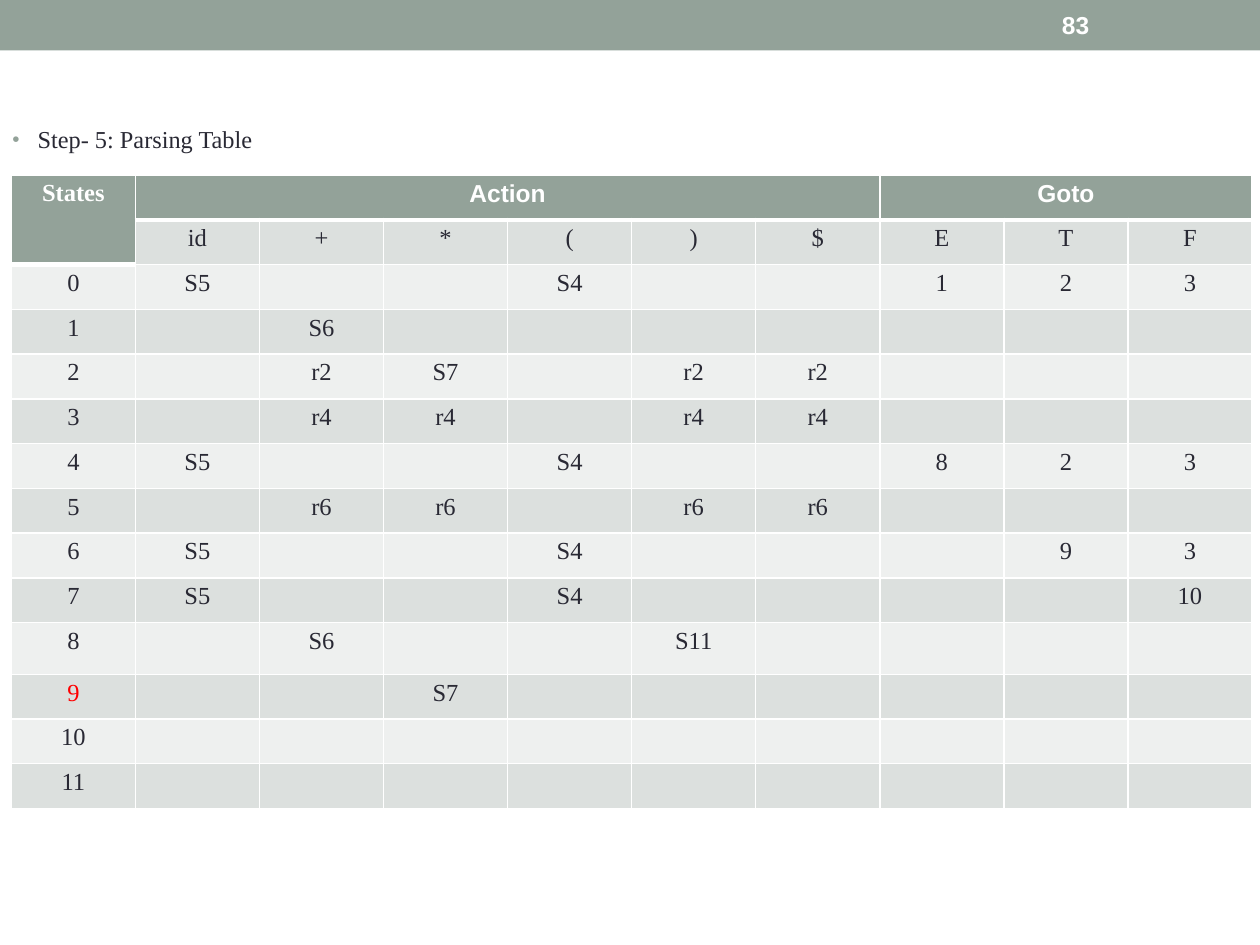
from lxml import etree
from pptx import Presentation
from pptx.dml.color import RGBColor
from pptx.enum.shapes import MSO_SHAPE
from pptx.enum.text import MSO_ANCHOR, PP_ALIGN
from pptx.oxml.ns import qn
from pptx.util import Inches, Pt

RECTANGLE = MSO_SHAPE.RECTANGLE
MIDDLE = MSO_ANCHOR.MIDDLE
CENTER = PP_ALIGN.CENTER

SAGE = RGBColor(0x93, 0xA2, 0x99)
INK = RGBColor(0x29, 0x29, 0x34)
WHITE = RGBColor(0xFF, 0xFF, 0xFF)
RED = RGBColor(0xFF, 0x00, 0x00)
BAND_DARK = RGBColor(0xDC, 0xE0, 0xDE)
BAND_LIGHT = RGBColor(0xEE, 0xF0, 0xEF)
SERIF, SANS = "Times New Roman", "Arial"

SYMBOLS = ["id", "+", "*", "(", ")", "$", "E", "T", "F"]
ENTRIES = [
    {"id": "S5", "(": "S4", "E": "1", "T": "2", "F": "3"},
    {"+": "S6"},
    {"+": "r2", "*": "S7", ")": "r2", "$": "r2"},
    {"+": "r4", "*": "r4", ")": "r4", "$": "r4"},
    {"id": "S5", "(": "S4", "E": "8", "T": "2", "F": "3"},
    {"+": "r6", "*": "r6", ")": "r6", "$": "r6"},
    {"id": "S5", "(": "S4", "T": "9", "F": "3"},
    {"id": "S5", "(": "S4", "F": "10"},
    {"+": "S6", ")": "S11"},
    {"*": "S7"},
    {},
    {},
]
HEADER = ["States", "Action", "", "", "", "", "", "Goto", "", ""]
grid = [HEADER, [""] + SYMBOLS]
for state, entry in enumerate(ENTRIES):
    grid.append([str(state)] + [entry.get(symbol, "") for symbol in SYMBOLS])


def add_run(p, text, font, color, size=14, bold=False):
    r = p.add_run()
    r.text = text
    r.font.name = font
    r.font.size = Pt(size)
    r.font.bold = bold
    r.font.color.rgb = color


def add_borders(cell, top, bottom):
    """Draw white borders, 1 pt at the sides; call before filling the cell."""
    tcPr = cell._tc.get_or_add_tcPr()
    for side, width in (("L", 1), ("R", 1), ("T", top), ("B", bottom)):
        line = etree.SubElement(tcPr, qn(f"a:ln{side}"), w=str(Pt(width)))
        fill = etree.SubElement(line, qn("a:solidFill"))
        etree.SubElement(fill, qn("a:srgbClr"), val=str(WHITE))


prs = Presentation()
prs.slide_width, prs.slide_height = Inches(10), Inches(7.5)
s = prs.slides.add_slide(prs.slide_layouts[6])

# Top band and slide number
band = s.shapes.add_shape(RECTANGLE, 0, 0, Inches(10), Inches(0.4))
band.shadow.inherit = False
band.fill.solid()
band.fill.fore_color.rgb = SAGE
band.line.fill.background()

number = s.shapes.add_textbox(Inches(8.33), Inches(0.02), Inches(1.17), Inches(0.36))
tf = number.text_frame
tf.word_wrap = True
tf.vertical_anchor = MIDDLE
add_run(tf.paragraphs[0], "83", SANS, WHITE, bold=True)

# Bulleted heading
heading = s.shapes.add_textbox(0, Inches(0.94), Inches(2.22), Inches(0.42))
tf = heading.text_frame
tf.word_wrap = True
p = tf.paragraphs[0]
pPr = p._p.get_or_add_pPr()
pPr.set("marL", str(Inches(0.2)))
pPr.set("indent", str(Inches(-0.2)))
bullet_color = etree.SubElement(pPr, qn("a:buClr"))
etree.SubElement(bullet_color, qn("a:srgbClr"), val=str(SAGE))
etree.SubElement(pPr, qn("a:buSzPct"), val="85000")
etree.SubElement(pPr, qn("a:buFont"), typeface=SANS)
etree.SubElement(pPr, qn("a:buChar"), char="•")
add_run(p, "Step- 5: Parsing Table", SERIF, INK, size=13.9)

# Parsing table
TALL_ROW = 10
width, height, tall = Inches(9.85), Inches(5.03), Inches(0.41)
n_rows, n_cols = len(grid), len(HEADER)
table = s.shapes.add_table(
    n_rows, n_cols, Inches(0.09), Inches(1.39), width, height
).table
for column in table.columns:
    column.width = width // n_cols
for row in table.rows:
    row.height = (height - tall) // (n_rows - 1)
table.rows[TALL_ROW].height = tall

table.cell(0, 0).merge(table.cell(1, 0))
table.cell(0, 1).merge(table.cell(0, 6))
table.cell(0, 7).merge(table.cell(0, 9))

for i, texts in enumerate(grid):
    for j, text in enumerate(texts):
        cell = table.cell(i, j)
        is_header = i == 0 or (i == 1 and j == 0)
        header_end = 1 if j == 0 else 0
        add_borders(
            cell,
            top=3 if i == header_end + 1 else 1,
            bottom=3 if i in (0, header_end) else 1,
        )
        cell.fill.solid()
        band_color = BAND_DARK if i % 2 else BAND_LIGHT
        cell.fill.fore_color.rgb = SAGE if is_header else band_color
        cell.margin_left = cell.margin_right = Inches(0.07)
        cell.margin_top = cell.margin_bottom = Inches(0.04)
        p = cell.text_frame.paragraphs[0]
        p.alignment = CENTER
        if not text:
            etree.SubElement(p._p, qn("a:endParaRPr"), sz="1400")
            continue
        font = SANS if text in ("Action", "Goto") else SERIF
        color = WHITE if is_header else INK
        if j == 0 and text == "9":
            color = RED
        add_run(p, text, font, color, bold=is_header)

prs.save("out.pptx")
